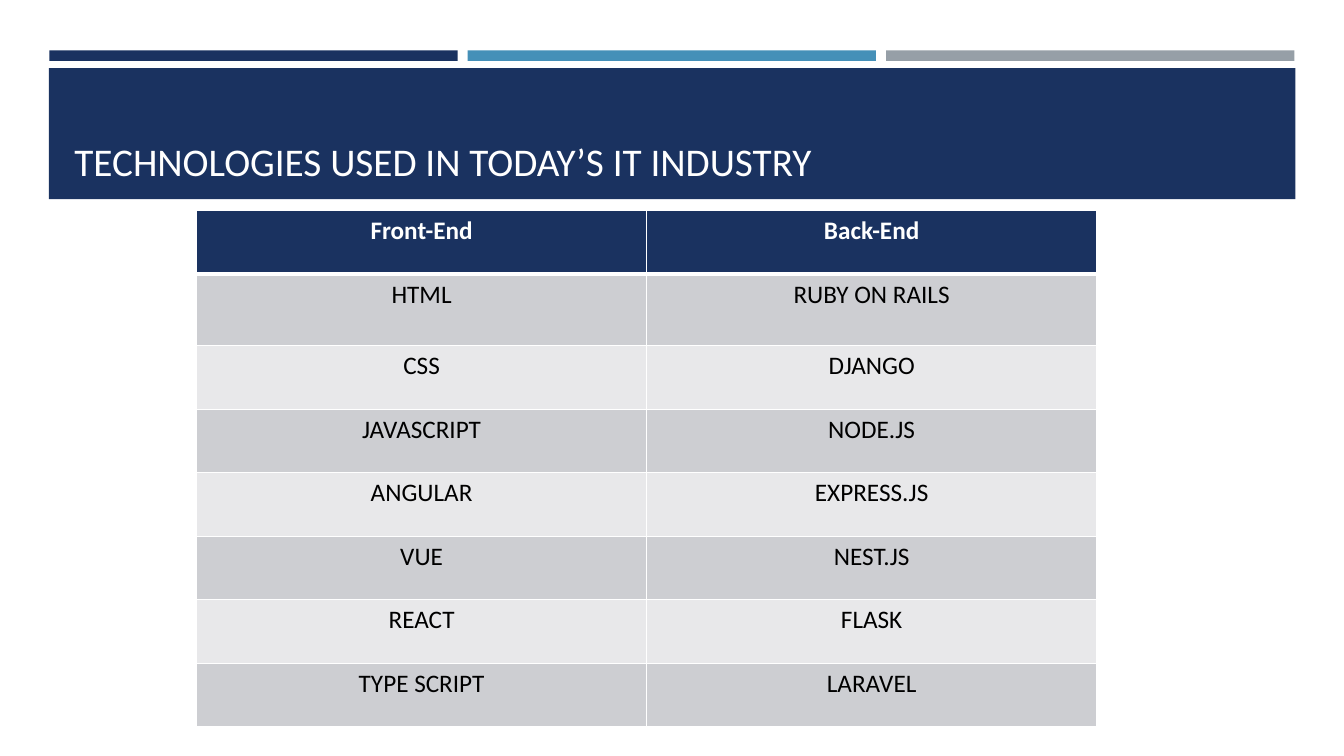
import pptx
import pptx.util
import pptx.dml.color
import pptx.enum.shapes
import pptx.enum.text
import pptx.oxml
import pptx.oxml.ns
from dataclasses import dataclass

ALIGN = pptx.enum.text.PP_ALIGN
ANCHOR = pptx.enum.text.MSO_ANCHOR


@dataclass(frozen=True)
class Theme:
    """Colours, font and type sizes of the deck."""
    navy: str = "1A3260"
    blue: str = "4590B8"
    grey: str = "969FA7"
    white: str = "FFFFFF"
    black: str = "000000"
    bands: tuple = ("CDCED2", "E8E8EA")
    font: str = "Calibri"
    title: int = 28
    body: int = 18


def rgb(value):
    """Turn a hex string into a colour."""
    return pptx.dml.color.RGBColor.from_string(value)


def cells(n):
    """Length of n grid cells, each a tenth of an inch."""
    return pptx.util.Inches(n / 10)


def write(tf, text, *, font, size, color, bold=False, align=ALIGN.LEFT):
    """Put one formatted paragraph into a text frame."""
    p = tf.paragraphs[0]
    p.alignment = align
    r = p.add_run()
    r.text = text
    r.font.name, r.font.size, r.font.bold = font, pptx.util.Pt(size), bold
    r.font.color.rgb = rgb(color)


def border(cell, color, **widths):
    """Draw cell borders; widths are points keyed by side L, R, T, B."""
    tcPr = cell._tc.get_or_add_tcPr()
    for i, (side, width) in enumerate(widths.items()):
        tcPr.insert(i, pptx.oxml.parse_xml(
            f'<a:ln{side} {pptx.oxml.ns.nsdecls("a")} w="{pptx.util.Pt(width)}">'
            f'<a:solidFill><a:srgbClr val="{color}"/></a:solidFill></a:ln{side}>'))


class Builder:
    """Draws elements on the current slide in one style."""

    def __init__(self, s, theme):
        """Keep the slide and the theme."""
        self.s, self.theme = s, theme

    def bar(self, x, y, w, h, color):
        """Add a plain filled rectangle."""
        sp = self.s.shapes.add_shape(pptx.enum.shapes.MSO_SHAPE.RECTANGLE,
                                     *map(cells, (x, y, w, h)))
        sp.shadow.inherit = False
        sp.fill.solid()
        sp.fill.fore_color.rgb = rgb(color)
        sp.line.fill.background()

    def title(self, x, y, w, h, text):
        """Add the heading, set at the foot of its box."""
        tf = self.s.shapes.add_textbox(*map(cells, (x, y, w, h))).text_frame
        tf.word_wrap = True
        tf.vertical_anchor = ANCHOR.BOTTOM
        write(tf, text, font=self.theme.font, size=self.theme.title,
              color=self.theme.white)

    def table(self, x, y, w, heights, rows):
        """Add a table with a dark header and banded rows."""
        t = self.theme
        frame = self.s.shapes.add_table(len(rows), len(rows[0]), cells(x), cells(y),
                                        cells(w), cells(sum(heights)))
        for i, (row, height) in enumerate(zip(rows, heights)):
            frame.table.rows[i].height = cells(height)
            head = i == 0
            for j, text in enumerate(row):
                cell = frame.table.cell(i, j)
                cell.fill.solid()
                cell.fill.fore_color.rgb = rgb(t.navy if head else t.bands[(i - 1) % 2])
                border(cell, t.white, L=1, R=1, T=3 if i == 1 else 1, B=3 if head else 1)
                write(cell.text_frame, text, font=t.font, size=t.body, bold=head,
                      color=t.white if head else t.black, align=ALIGN.CENTER)


TECHNOLOGIES = [
    ("Front-End", "Back-End"),
    ("HTML", "RUBY ON RAILS"),
    ("CSS", "DJANGO"),
    ("JAVASCRIPT", "NODE.JS"),
    ("ANGULAR", "EXPRESS.JS"),
    ("VUE", "NEST.JS"),
    ("REACT", "FLASK"),
    ("TYPE SCRIPT", "LARAVEL"),
]


def main():
    """Build the slide and save it."""
    prs = pptx.Presentation()
    prs.slide_width, prs.slide_height = cells(133.33), cells(75)
    theme = Theme()
    b = Builder(prs.slides.add_slide(prs.slide_layouts[6]), theme)

    bar_width, gap = 40.5, 1
    for i, color in enumerate((theme.navy, theme.blue, theme.grey)):
        b.bar(4.9 + i * (bar_width + gap), 5, bar_width, 1.05, color)
    b.bar(4.85, 6.75, 123.65, 13, theme.navy)
    b.title(6.4, 7.7, 120.6, 11.1, "TECHNOLOGIES USED IN TODAY’S IT INDUSTRY")

    heights = [6.3, 7.1] + [6.3] * (len(TECHNOLOGIES) - 2)
    b.table(19.5, 20.9, 89.3, heights, TECHNOLOGIES)
    prs.save("out.pptx")


main()
